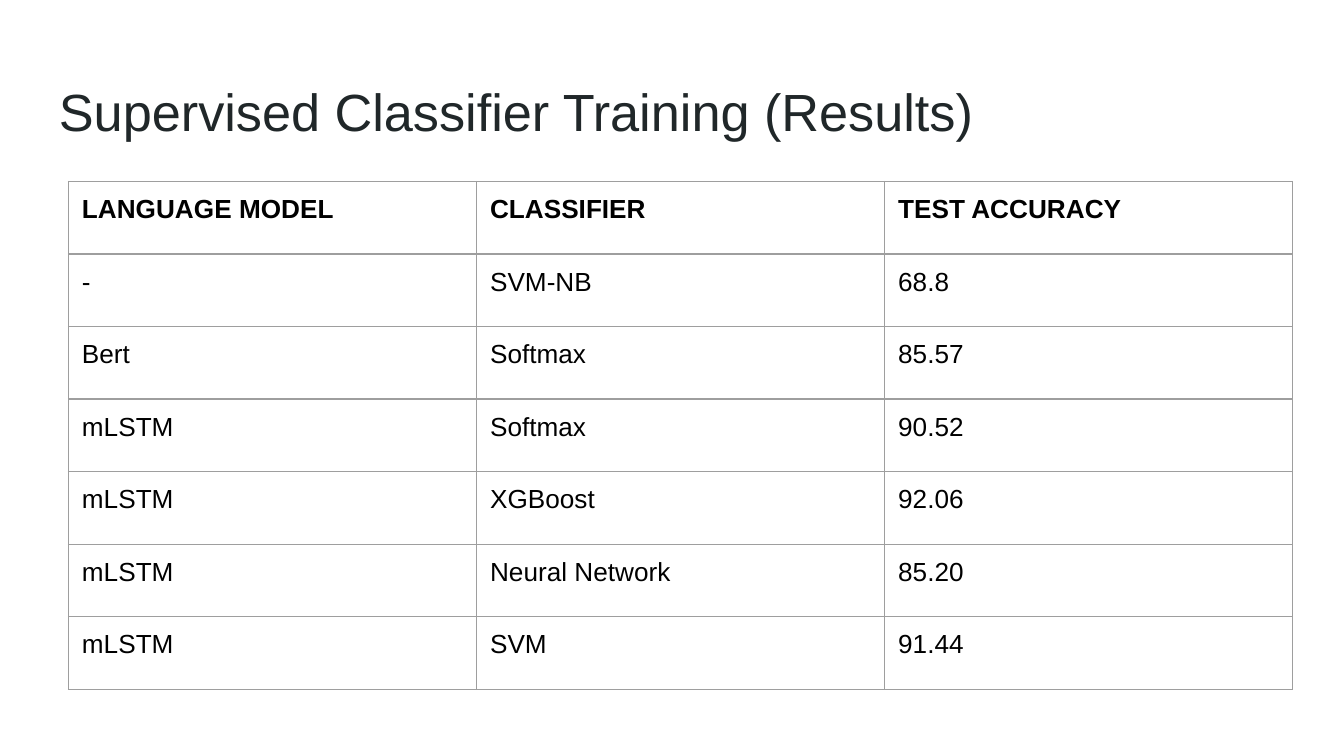
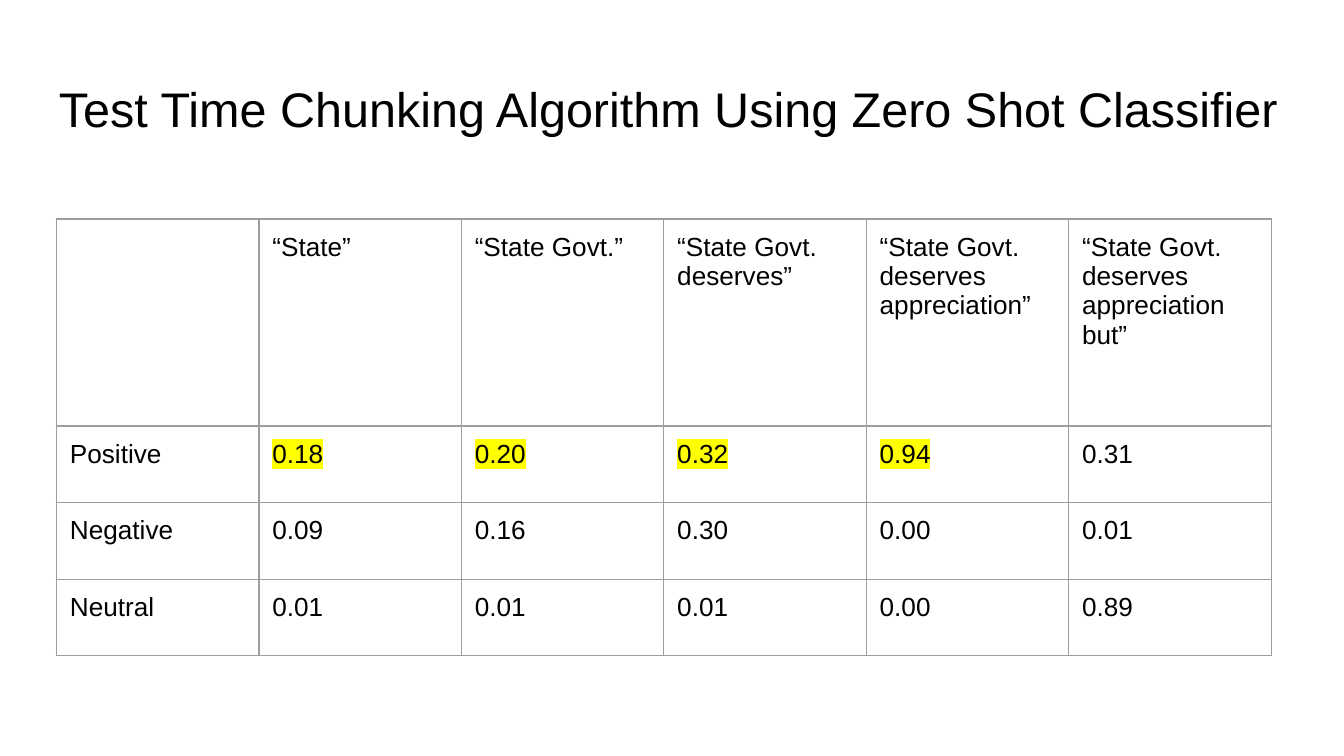
from lxml.etree import SubElement
from pptx import Presentation
from pptx.dml.color import RGBColor as RGB
from pptx.enum.text import MSO_ANCHOR as ANCHOR
from pptx.oxml.ns import qn
from pptx.util import Inches, Pt

COLORS = {"title": "202729", "text": "000000", "border": "9E9E9E", "highlight": "FFFF00"}
FONT = "Arial"
SLIDE_WIDTH = Inches(10)
SLIDE_HEIGHT = SLIDE_WIDTH * 9 // 16
INSETS = {f"margin_{side}": Inches(0.1) for side in ("left", "top", "right", "bottom")}
TITLE_BOX = (0.34, 0.49, 9.32, 0.63)

RESULTS = [
    ("LANGUAGE MODEL", "CLASSIFIER", "TEST ACCURACY"),
    ("-", "SVM-NB", "68.8"),
    ("Bert", "Softmax", "85.57"),
    ("mLSTM", "Softmax", "90.52"),
    ("mLSTM", "XGBoost", "92.06"),
    ("mLSTM", "Neural Network", "85.20"),
    ("mLSTM", "SVM", "91.44"),
]
CHUNKS = [
    ("", "“State”", "“State Govt.”", "“State Govt. deserves”",
     "“State Govt. deserves appreciation”", "“State Govt. deserves appreciation but”"),
    ("Positive", "0.18", "0.20", "0.32", "0.94", "0.31"),
    ("Negative", "0.09", "0.16", "0.30", "0.00", "0.01"),
    ("Neutral", "0.01", "0.01", "0.01", "0.00", "0.89"),
]


def set_attrs(obj, values):
    for name, value in values.items():
        setattr(obj, name, value)


def write(p, text, size, color="text", bold=False):
    r = p.add_run()
    r.text = text
    set_attrs(r.font, {"name": FONT, "size": Pt(size), "bold": bold})
    r.font.color.rgb = RGB.from_string(COLORS[color])
    return r


def add_title(slide, box, text, size, color):
    tf = slide.shapes.add_textbox(*map(Inches, box)).text_frame
    set_attrs(tf, {"word_wrap": True, "vertical_anchor": ANCHOR.TOP, **INSETS})
    write(tf.paragraphs[0], text, size, color)


def set_borders(cell):
    tc_pr = cell._tc.get_or_add_tcPr()
    for i, edge in enumerate(("lnL", "lnR", "lnT", "lnB")):
        ln = SubElement(tc_pr, qn(f"a:{edge}"), w=str(Pt(0.75)))
        fill = SubElement(ln, qn("a:solidFill"))
        SubElement(fill, qn("a:srgbClr"), val=COLORS["border"])
        tc_pr.insert(i, ln)


def highlight(r):
    r_pr = r.font._element
    mark = SubElement(r_pr, qn("a:highlight"))
    SubElement(mark, qn("a:srgbClr"), val=COLORS["highlight"])
    r_pr.find(qn("a:solidFill")).addnext(mark)


def add_grid(slide, left, top, width, heights, rows, bold_header=False, marked=()):
    n_cols = len(rows[0])
    box = map(Inches, (left, top, width, sum(heights)))
    table = slide.shapes.add_table(len(rows), n_cols, *box).table
    set_attrs(table, {"first_row": False, "horz_banding": False})
    for col in table.columns:
        col.width = Inches(width / n_cols)
    for i, (values, height) in enumerate(zip(rows, heights)):
        table.rows[i].height = Inches(height)
        for j, text in enumerate(values):
            cell = table.cell(i, j)
            set_attrs(cell, {"vertical_anchor": ANCHOR.TOP, **INSETS})
            cell.fill.background()
            set_borders(cell)
            if text:
                r = write(cell.text_frame.paragraphs[0], text, 14, bold=bold_header and i == 0)
                if (i, j) in marked:
                    highlight(r)


def results_slide(prs):
    s = prs.slides.add_slide(prs.slide_layouts[6])
    add_title(s, TITLE_BOX, "Supervised Classifier Training (Results)", 28, "title")
    add_grid(s, 0.51, 1.35, 9.11, [0.54] * len(RESULTS), RESULTS, bold_header=True)


def chunking_slide(prs):
    s = prs.slides.add_slide(prs.slide_layouts[6])
    add_title(s, TITLE_BOX, "Test Time Chunking Algorithm Using Zero Shot Classifier", 26, "text")
    rising = {(1, j) for j in range(1, 5)}
    add_grid(s, 0.42, 1.63, 9.04, [1.54] + [0.57] * 3, CHUNKS, marked=rising)


def main():
    prs = Presentation()
    set_attrs(prs, {"slide_width": SLIDE_WIDTH, "slide_height": SLIDE_HEIGHT})
    results_slide(prs)
    chunking_slide(prs)
    prs.save("out.pptx")


if __name__ == "__main__":
    main()
